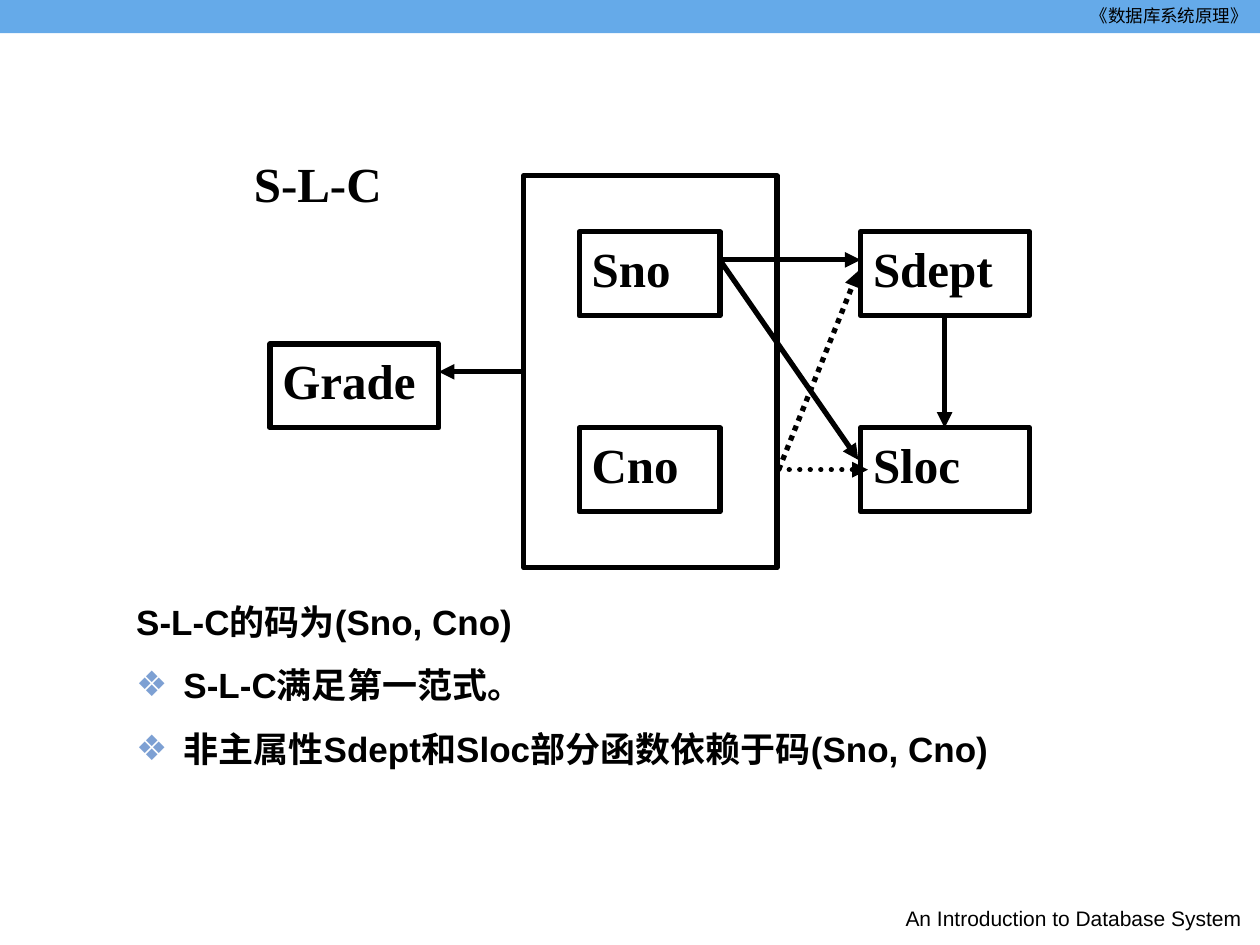
from lxml import etree
from pptx import Presentation
from pptx import util as u
from pptx.dml.color import RGBColor
from pptx.enum import dml, shapes, text
from pptx.oxml.ns import qn

COLORS = {"ink": "000000", "band": "65AAE9", "bullet": "7DA0D3"}
SANS, SERIF = "Arial", "Times New Roman"
ALIGN, ANCHOR = text.PP_ALIGN, text.MSO_ANCHOR


def color(name):
    return RGBColor.from_string(COLORS[name])


class SlideBuilder:
    """Holds the style and the current slide; all lengths are points."""
    line_width = 3

    def __init__(self, slide):
        self.slide = slide

    def format(self, paragraph, font, size, bold, align):
        paragraph.alignment = align
        paragraph.font.name = font
        paragraph.font.size = u.Pt(size)
        paragraph.font.bold = bold
        paragraph.font.color.rgb = color("ink")

    def rectangle(self, left, top, width, height, fill=None):
        rect = self.slide.shapes.add_shape(
            shapes.MSO_SHAPE.RECTANGLE, *map(u.Pt, (left, top, width, height)))
        rect.shadow.inherit = False
        if fill:
            rect.fill.solid()
            rect.fill.fore_color.rgb = color(fill)
            rect.line.fill.background()
        else:
            rect.fill.background()
            rect.line.color.rgb = color("ink")
            rect.line.width = u.Pt(self.line_width)
        return rect

    def attribute(self, name, left, top, width, height):
        frame = self.rectangle(left, top, width, height).text_frame
        frame.vertical_anchor = ANCHOR.TOP
        frame.text = name
        self.format(frame.paragraphs[0], SERIF, 28, True, ALIGN.JUSTIFY)

    def label(self, words, left, top, width, height, font, size,
              bold=False, align=ALIGN.JUSTIFY, anchor=ANCHOR.TOP):
        frame = self.slide.shapes.add_textbox(
            *map(u.Pt, (left, top, width, height))).text_frame
        frame.word_wrap = True
        frame.vertical_anchor = anchor
        frame.text = words
        self.format(frame.paragraphs[0], font, size, bold, align)

    def arrow(self, start, end, dotted=False, round_cap=False):
        link = self.slide.shapes.add_connector(
            shapes.MSO_CONNECTOR.STRAIGHT, *map(u.Pt, (*start, *end)))
        link.line.color.rgb = color("ink")
        link.line.width = u.Pt(self.line_width)
        if dotted:
            link.line.dash_style = dml.MSO_LINE.ROUND_DOT
        properties = link._element.spPr
        outline = properties.find(qn("a:ln"))
        if round_cap:
            outline.set("cap", "rnd")
        etree.SubElement(outline, qn("a:tailEnd"), type="triangle")
        etree.SubElement(properties, qn("a:effectLst"))

    def body(self, lines, left, top, width, height, indent):
        holder = self.slide.placeholders[1]
        holder.left, holder.top, holder.width, holder.height = map(
            u.Pt, (left, top, width, height))
        frame = holder.text_frame
        frame.vertical_anchor = ANCHOR.TOP
        frame.auto_size = text.MSO_AUTO_SIZE.NONE
        frame.text = "\n".join(words for words, _ in lines)
        for paragraph, (_, bulleted) in zip(frame.paragraphs, lines):
            paragraph.line_spacing = 1.3 if bulleted else 0.9
            paragraph.space_before = u.Pt(5 if bulleted else 0)
            props = paragraph._p.get_or_add_pPr()
            props.set("marL", str(u.Pt(indent)))
            props.set("indent", str(-u.Pt(indent)))
            if bulleted:
                tint = etree.SubElement(props, qn("a:buClr"))
                etree.SubElement(tint, qn("a:srgbClr"), val=COLORS["bullet"])
                etree.SubElement(props, qn("a:buFont"), typeface=SANS)
                etree.SubElement(props, qn("a:buChar"), char="❖")
            else:
                etree.SubElement(props, qn("a:buNone"))
            self.format(paragraph, SANS, 20, True, ALIGN.LEFT)


def main():
    deck = Presentation()
    deck.slide_width, deck.slide_height = u.Pt(720), u.Pt(540)
    slide = deck.slides.add_slide(deck.slide_layouts[1])
    title = slide.shapes.title._element
    title.getparent().remove(title)
    page = SlideBuilder(slide)

    # Header band and footer
    page.rectangle(0, 0, 720, 18.9, fill="band")
    page.label("《数据库系统原理》", 468, 0, 252, 18, SANS, 10,
               align=ALIGN.RIGHT, anchor=ANCHOR.MIDDLE)
    page.label("An Introduction to Database System", 507.5, 514, 212, 25,
               SANS, 12, align=ALIGN.CENTER)

    # Conclusions
    page.body([("S-L-C的码为(Sno, Cno)", False),
               ("S-L-C满足第一范式。", True),
               ("非主属性Sdept和Sloc部分函数依赖于码(Sno, Cno)", True)],
              70.6, 342, 612, 126.7, indent=27)

    # Composite key and attributes
    upper, lower, box_height = 132.5, 244.5, 48
    page.label("S-L-C", 138, 84, 114.5, 42, SERIF, 28, bold=True)
    page.rectangle(299.3, 100.5, 144.7, 224)
    for name, left, top, width in [("Sno", 331, upper, 80.5),
                                   ("Cno", 331, lower, 80.5),
                                   ("Grade", 154.3, 196.5, 96.5),
                                   ("Sdept", 491.8, upper, 96.5),
                                   ("Sloc", 491.8, lower, 96.5)]:
        page.attribute(name, left, top, width, box_height)

    # Full dependencies
    sno, key_edge = (411.3, 148.5), (445, 268.4)
    page.arrow((298.8, 212.5), (250.7, 212.5))
    page.arrow(sno, (491.8, 148.5))
    page.arrow(sno, (490.5, 262.8))
    page.arrow((539.8, upper + box_height), (539.8, lower))

    # Partial dependencies
    page.arrow(key_edge, (490.5, 154.8), dotted=True)
    page.arrow(key_edge, (496, 268.4), dotted=True, round_cap=True)

    deck.save("out.pptx")


if __name__ == "__main__":
    main()
